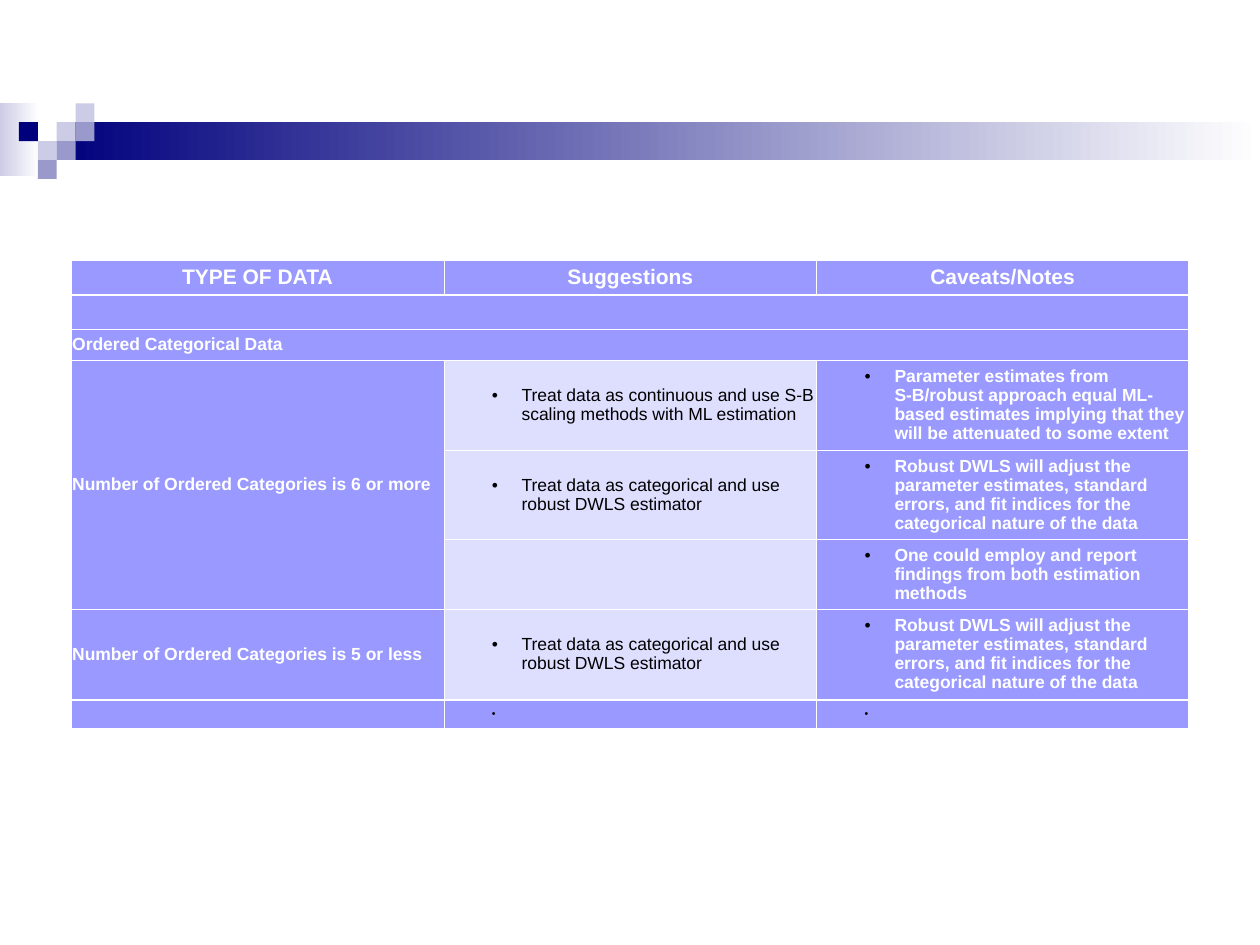
from dataclasses import dataclass
from lxml.etree import SubElement as Sub
from pptx import Presentation
from pptx.dml.color import RGBColor as Rgb
from pptx.enum.shapes import MSO_SHAPE as Shape
from pptx.enum.text import MSO_ANCHOR as Anchor, PP_ALIGN as Align
from pptx.oxml.ns import qn
from pptx.util import Pt


@dataclass(frozen=True)
class Theme:
    """Colours, font and type sizes of the slide."""
    navy: str = "00007D"
    mid: str = "9999CC"
    pale: str = "CCCCE6"
    white: str = "FFFFFF"
    black: str = "000000"
    cell: str = "9999FF"
    light: str = "DEDEFF"
    font: str = "Arial"
    head: int = 12
    body: int = 10
    tiny: int = 6
    thin: float = 0.45
    thick: float = 1.47


LOOK = Theme()
UNIT = 10.8
TOP = 59.04
SQUARES = [(2, 1, LOOK.pale), (3, 0, LOOK.pale), (3, 1, LOOK.mid),
           (1, 2, LOOK.pale), (0, 1, LOOK.navy), (2, 2, LOOK.mid),
           (1, 3, LOOK.mid)]
COLS = [213.1, 213.1, 212.4]
ROWS = [15.1, 15.8, 15.8, 51.1, 51.1, 25.9, 51.8, 16.6]
DWLS = "Treat data as categorical and use robust DWLS estimator"
ROBUST = ("Robust DWLS will adjust the parameter estimates, standard errors, "
          "and fit indices for the categorical nature of the data")
CELLS = [
    ["TYPE OF DATA", "Suggestions", "Caveats/Notes"],
    ["", "", ""],
    ["Ordered Categorical Data", "", ""],
    ["Number of Ordered Categories is 6 or more",
     "Treat data as continuous and use S-B scaling methods with ML estimation",
     "Parameter estimates from S-B/robust approach equal ML-based estimates "
     "implying that they will be attenuated to some extent"],
    ["", DWLS, ROBUST],
    ["", "", "One could employ and report findings from both estimation methods"],
    ["Number of Ordered Categories is 5 or less", DWLS, ROBUST],
    ["", " ", " "],
]
LAST = len(ROWS) - 1
MERGES = [((1, 0), (1, 2)), ((2, 0), (2, 2)), ((3, 0), (5, 0))]


def add_box(slide, left, top, width, height, *tones):
    """Draw a borderless box, plain for one tone and graded for two."""
    box = slide.shapes.add_shape(Shape.RECTANGLE, Pt(left), Pt(top),
                                 Pt(width), Pt(height))
    box.shadow.inherit = False
    box.line.fill.background()
    if len(tones) == 1:
        box.fill.solid()
        box.fill.fore_color.rgb = Rgb.from_string(tones[0])
        return
    box.fill.gradient()
    box.fill.gradient_angle = 0
    for stop, place, tone in zip(box.fill.gradient_stops, (0, 1), tones):
        stop.position = place
        stop.color.rgb = Rgb.from_string(tone)


def add_band(slide):
    """Draw the graded band and its mosaic of squares."""
    add_box(slide, 0, TOP, 22.3, 41.8, LOOK.pale, LOOK.white)
    add_box(slide, 3 * UNIT, TOP + UNIT, 720 - 3 * UNIT, 2 * UNIT,
            LOOK.navy, LOOK.white)
    for col, row, tone in SQUARES:
        add_box(slide, (col + 1) * UNIT, TOP + row * UNIT, UNIT, UNIT, tone)


def set_edges(cell, row):
    """Rule the four sides of a cell, thick under the head and above the end."""
    props = cell._tc.get_or_add_tcPr()
    above = LOOK.thick if row in (1, LAST) else LOOK.thin
    below = LOOK.thick if row in (0, LAST - 1) else LOOK.thin
    sides = {"lnL": LOOK.thin, "lnR": LOOK.thin, "lnT": above, "lnB": below}
    for side, width in sides.items():
        edge = Sub(props, qn(f"a:{side}"), w=str(int(Pt(width))))
        fill = Sub(edge, qn("a:solidFill"))
        Sub(fill, qn("a:srgbClr"), val=LOOK.white)


def set_bullet(para):
    """Give a paragraph a black bullet with a hanging indent."""
    props = para._p.get_or_add_pPr()
    props.set("marL", str(int(Pt(17))))
    props.set("indent", str(-int(Pt(17))))
    Sub(Sub(props, qn("a:buClr")), qn("a:srgbClr"), val=LOOK.black)
    Sub(props, qn("a:buFont"), typeface=LOOK.font)
    Sub(props, qn("a:buChar"), char="•")


def set_text(para, text, size, tone, bold):
    """Write one run, or size the empty line."""
    if not text:
        Sub(para._p, qn("a:endParaRPr"), sz=str(size * 100))
        return
    run = para.add_run()
    run.text = text
    run.font.name = LOOK.font
    run.font.size = Pt(size)
    run.font.bold = bold
    run.font.color.rgb = Rgb.from_string(tone)


def fill_cell(cell, row, col, text):
    """Style one cell by its place and write its text."""
    plain = col == 1 and 3 <= row < LAST
    item = col > 0 and row >= 3 and text != ""
    set_edges(cell, row)
    cell.fill.solid()
    cell.fill.fore_color.rgb = Rgb.from_string(LOOK.light if plain else LOOK.cell)
    cell.vertical_anchor = Anchor.MIDDLE
    cell.margin_left = Pt(27.4 if item else 0.7)
    cell.margin_right = Pt(0.7)
    cell.margin_top = cell.margin_bottom = Pt(3.6)
    para = cell.text_frame.paragraphs[0]
    para.alignment = Align.CENTER if row == 0 else Align.LEFT
    para.line_spacing = 0.97
    if item:
        set_bullet(para)
    size = {0: LOOK.head, LAST: LOOK.tiny}.get(row, LOOK.body)
    set_text(para, text, size, LOOK.black if plain else LOOK.white, not plain)


def add_grid(slide):
    """Build the table of data types, suggestions and caveats."""
    grid = slide.shapes.add_table(len(ROWS), len(COLS), Pt(40.6), Pt(148.5),
                                  Pt(sum(COLS)), Pt(sum(ROWS))).table
    grid.first_row = grid.horz_banding = False
    for col, width in enumerate(COLS):
        grid.columns[col].width = Pt(width)
    for row, height in enumerate(ROWS):
        grid.rows[row].height = Pt(height)
        for col, text in enumerate(CELLS[row]):
            fill_cell(grid.cell(row, col), row, col, text)
    for start, end in MERGES:
        grid.cell(*start).merge(grid.cell(*end))


def main():
    """Build and save the slide."""
    deck = Presentation()
    deck.slide_width, deck.slide_height = Pt(720), Pt(540)
    slide = deck.slides.add_slide(deck.slide_layouts[6])
    add_band(slide)
    add_grid(slide)
    deck.save("out.pptx")


main()
